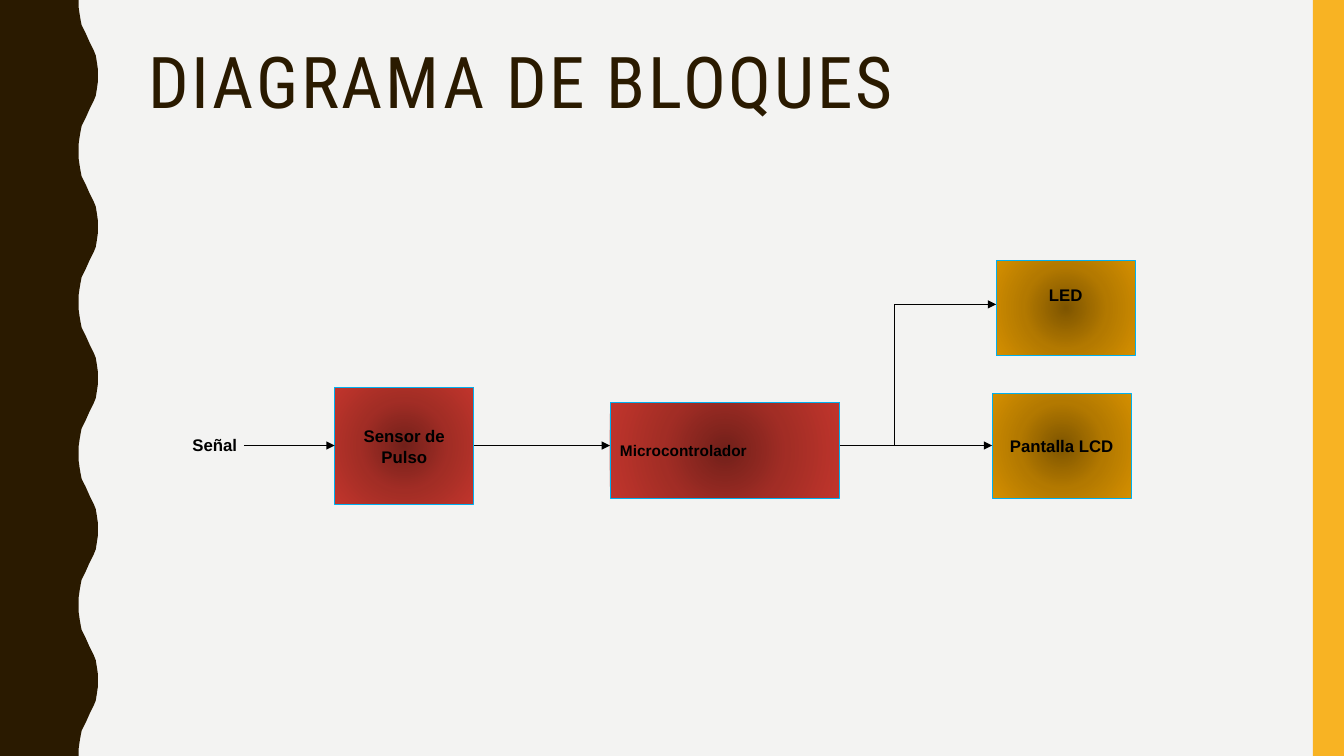
import pptx
import pptx.dml.color
import pptx.enum.shapes
import pptx.enum.text
import pptx.oxml
import pptx.oxml.ns
import pptx.util

Inches = pptx.util.Inches
Pt = pptx.util.Pt
qn = pptx.oxml.ns.qn
ALIGN = pptx.enum.text.PP_ALIGN
ANCHOR = pptx.enum.text.MSO_ANCHOR
RECTANGLE = pptx.enum.shapes.MSO_SHAPE.RECTANGLE

WIDTH, HEIGHT = 13.33, 7.5
BROWN, YELLOW, BACKGROUND = "2A1A00", "F8B323", "F3F3F2"
RED_STOPS = ("72201A", "A22D25", "C1352C")
AMBER_STOPS = ("7E5500", "B37900", "D48F00")
TOP, LEFT, RIGHT = 0, 1, 3
# Half of one wave: distance down the edge and x of the edge.
HALF_WAVE = [(0, 0.78), (0.07, 0.78), (0.14, 0.79), (0.2, 0.8), (0.25, 0.81),
             (0.33, 0.85), (0.42, 0.89), (0.5, 0.93), (0.55, 0.95),
             (0.61, 0.96), (0.68, 0.97), (0.75, 0.97)]
WAVE_LENGTH = 1.5


def color(value):
    return pptx.dml.color.RGBColor.from_string(value)


def paint(shape, value):
    """Give a shape a flat fill with neither line nor shadow."""
    shape.shadow.inherit = False
    shape.fill.solid()
    shape.fill.fore_color.rgb = color(value)
    shape.line.fill.background()


def paint_radial(shape, stops):
    """Fill a shape with a gradient that spreads from its centre."""
    shape.fill.gradient()
    gradient = shape.element.spPr.find(qn("a:gradFill"))
    marks = "".join(
        f'<a:gs pos="{index * 50000}"><a:srgbClr val="{stop}"/></a:gs>'
        for index, stop in enumerate(stops))
    radial = pptx.oxml.parse_xml(
        f'<a:gradFill {pptx.oxml.ns.nsdecls("a")} rotWithShape="1">'
        f'<a:gsLst>{marks}</a:gsLst><a:path path="circle">'
        '<a:fillToRect l="50000" t="50000" r="50000" b="50000"/>'
        '</a:path></a:gradFill>')
    gradient.getparent().replace(gradient, radial)


def write(shape, text, size=12, font="Arial", ink="000000", bold=True,
          align=ALIGN.LEFT, anchor=ANCHOR.TOP, line_spacing=1.07,
          letter_spacing=0, bottom=0.05):
    frame = shape.text_frame
    frame.word_wrap = True
    frame.vertical_anchor = anchor
    frame.margin_bottom = Inches(bottom)
    para = frame.paragraphs[0]
    para.alignment = align
    para.line_spacing = line_spacing
    span = para.add_run()
    span.text = text
    span.font.size = Pt(size)
    span.font.name = font
    span.font.bold = bold
    span.font.color.rgb = color(ink)
    if letter_spacing:
        span.font._element.set("spc", str(letter_spacing * 100))


def add_label(page, box, text, **style):
    label = page.shapes.add_textbox(*map(Inches, box))
    write(label, text, **style)


def add_block(page, box, text, stops, **style):
    block = page.shapes.add_shape(RECTANGLE, *map(Inches, box))
    block.shadow.inherit = False
    paint_radial(block, stops)
    block.line.color.rgb = color("00B0F0")
    block.line.width = Pt(0.5)
    write(block, text, anchor=ANCHOR.MIDDLE, **style)
    return block


def add_wire(page, start, end, source=None, target=None, arrow=True):
    """Draw a thin line, joined to the right of source and left of target."""
    wire = page.shapes.add_connector(
        pptx.enum.shapes.MSO_CONNECTOR.STRAIGHT, *map(Inches, start + end))
    if source is not None:
        wire.begin_connect(source, RIGHT)
    if target is not None:
        wire.end_connect(target, LEFT)
    wire.line.color.rgb = color("000000")
    wire.line.width = Pt(0.5)
    properties = wire.element.spPr
    if arrow:
        outline = properties.find(qn("a:ln"))
        outline.append(pptx.oxml.parse_xml(
            f'<a:tailEnd {pptx.oxml.ns.nsdecls("a")} type="triangle"/>'))
    properties.append(pptx.oxml.parse_xml(
        f'<a:effectLst {pptx.oxml.ns.nsdecls("a")}/>'))


def add_wavy_edge(page, left, top, height):
    wave = HALF_WAVE + [(WAVE_LENGTH - y, x) for y, x in HALF_WAVE[-2::-1]]
    points = [(left + x, top + period * WAVE_LENGTH + y)
              for period in range(round(height / WAVE_LENGTH))
              for y, x in wave]
    points.append((left, top + height))
    builder = page.shapes.build_freeform(
        Inches(left), Inches(top), scale=1.0)
    builder.add_line_segments(
        [(Inches(x), Inches(y)) for x, y in points], close=True)
    paint(builder.convert_to_shape(), BROWN)


def add_frame(page, width, height):
    """Set the background and the two side decorations."""
    page.background.fill.solid()
    page.background.fill.fore_color.rgb = color(BACKGROUND)
    add_wavy_edge(page, 0, 0, height)
    band = page.shapes.add_shape(
        RECTANGLE, Inches(width - 0.31), 0, Inches(0.31), Inches(height))
    paint(band, YELLOW)


def add_diagram(page, left, top):
    def at(x, y):
        return left + x, top + y

    center = ALIGN.CENTER
    sensor = add_block(page, (*at(1.51, 1.26), 1.38, 1.16),
                       "Sensor de Pulso", RED_STOPS, align=center)
    add_block(page, (*at(4.24, 1.41), 2.28, 0.95),
              "Microcontrolador", RED_STOPS, size=11)
    screen = add_block(page, (*at(8.03, 1.32), 1.38, 1.04),
                       "Pantalla LCD", AMBER_STOPS, align=center)
    add_block(page, (*at(8.07, 0), 1.38, 0.95),
              "LED", AMBER_STOPS, align=center, bottom=0.32)

    main, upper, branch = 1.84, 0.44, 7.06
    add_wire(page, at(2.89, main), at(4.24, main), source=sensor)
    add_wire(page, at(6.52, main), at(8.03, main), target=screen)
    add_wire(page, at(branch, upper), at(branch, main), arrow=False)
    add_wire(page, at(branch, upper), at(8.07, upper))
    add_wire(page, at(0.61, main), at(1.51, main), target=sensor)
    add_label(page, (*at(0, 1.67), 0.66, 0.32), "Señal")


def main():
    deck = pptx.Presentation()
    deck.slide_width, deck.slide_height = Inches(WIDTH), Inches(HEIGHT)
    page = deck.slides.add_slide(deck.slide_layouts[6])
    add_frame(page, WIDTH, HEIGHT)
    add_label(page, (1.37, 0.42, 11.13, 1.63), "DIAGRAMA DE BLOQUES",
              size=51, font="Roboto Condensed", ink=BROWN, bold=False,
              line_spacing=0.9, letter_spacing=2)
    add_diagram(page, 1.81, 2.58)
    deck.save("out.pptx")


if __name__ == "__main__":
    main()
